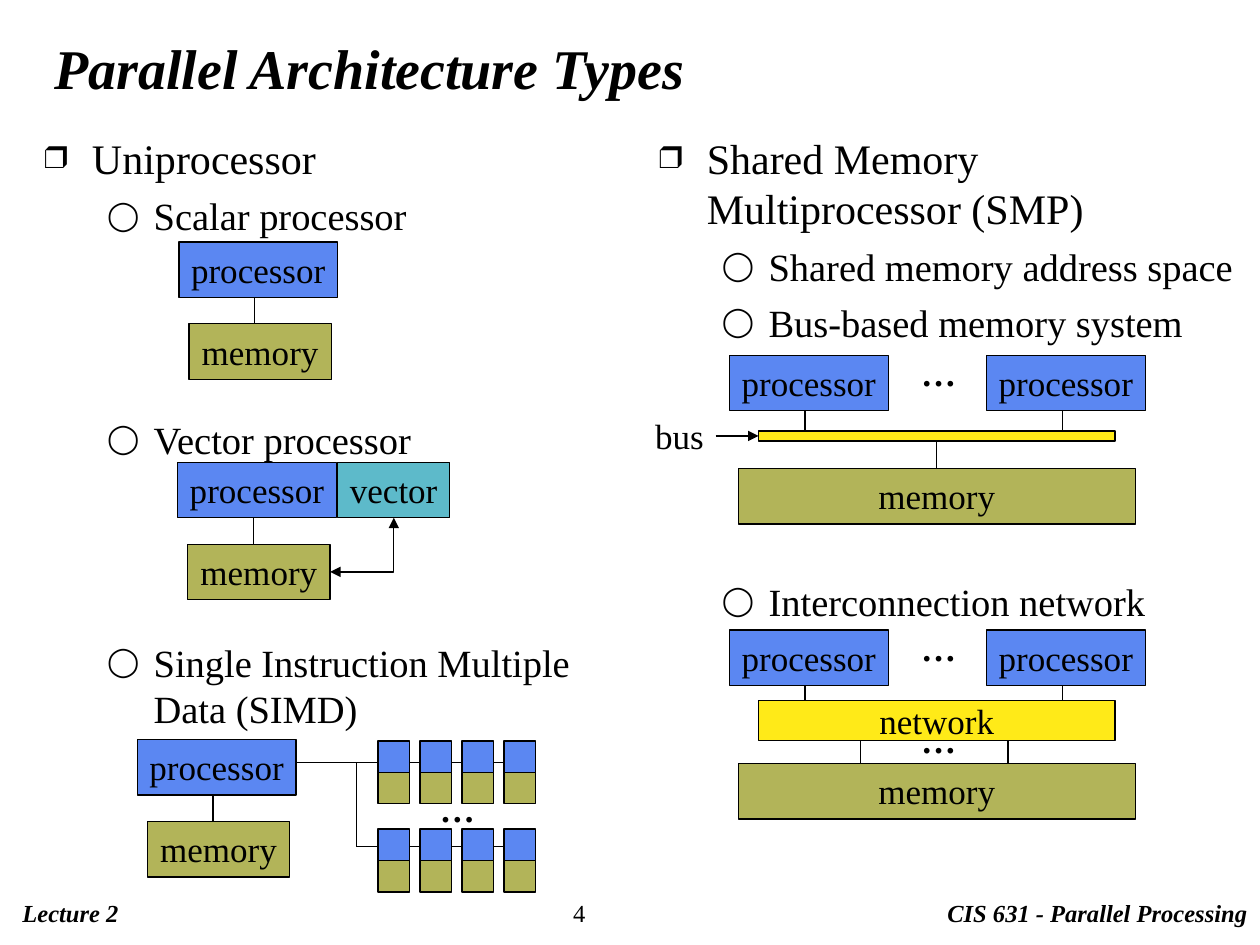
from dataclasses import dataclass
from itertools import product
from lxml.etree import SubElement as Sub
from pptx import Presentation
from pptx.dml.color import RGBColor as Rgb
from pptx.enum.shapes import MSO_CONNECTOR as Link, MSO_SHAPE as Shape
from pptx.enum.text import MSO_ANCHOR as Anchor, MSO_AUTO_SIZE as Fit, PP_ALIGN as Align
from pptx.oxml.ns import qn
from pptx.util import Inches, Pt


@dataclass(frozen=True)
class Theme:
    """Colours, type sizes and line width of the slide."""
    font: str = "Times New Roman"
    ink: str = "000000"
    blue: str = "5B87F2"
    olive: str = "B2B459"
    teal: str = "5DBACA"
    yellow: str = "FFEA18"
    title: int = 32
    head: int = 24
    item: int = 22
    label: int = 20
    foot: int = 14
    rule: float = 0.75


T = Theme()
BOX, MEM, ROW = 1.26, 1.13, 0.44
STEM, DROP = 0.6, 0.65
CELL = 0.25


def paint(text):
    """Turn a hex string into a colour."""
    return Rgb.from_string(text)


def style(para, size, bold=False, slant=False):
    """Set the font of a paragraph."""
    font = para.font
    font.name, font.size, font.bold, font.italic = T.font, Pt(size), bold, slant
    font.color.rgb = paint(T.ink)


def write(shape, text, size=T.label, align=Align.LEFT, anchor=Anchor.TOP,
          wrap=False, bold=False, slant=False):
    """Put one formatted paragraph into a shape."""
    frame = shape.text_frame
    frame.auto_size, frame.word_wrap = Fit.NONE, wrap
    frame.vertical_anchor = anchor
    para = frame.paragraphs[0]
    para.text, para.alignment = text, align
    style(para, size, bold, slant)
    return shape


def place(shape, *area):
    """Move a shape to left, top, width and height in inches."""
    shape.left, shape.top, shape.width, shape.height = map(Inches, area)
    return shape


def label(slide, area, text, **form):
    """Add a text box."""
    return write(slide.shapes.add_textbox(*map(Inches, area)), text, **form)


def block(shapes, area, fill, text="", **form):
    """Add a filled rectangle with an optional centred label."""
    shape = shapes.add_shape(Shape.RECTANGLE, *map(Inches, area))
    shape.shadow.inherit = False
    shape.fill.solid()
    shape.fill.fore_color.rgb = paint(fill)
    shape.line.color.rgb = paint(T.ink)
    shape.line.width = Pt(T.rule)
    if text:
        write(shape, text, align=Align.CENTER, **form)
    return shape


def wire(slide, ends=(0, 0, 0, 0), start=None, stop=None, tips=(), bent=False):
    """Add a connector, joined to (shape, site) pairs where given."""
    kind = Link.ELBOW if bent else Link.STRAIGHT
    line = slide.shapes.add_connector(kind, *map(Inches, ends))
    if start:
        line.begin_connect(*start)
    if stop:
        line.end_connect(*stop)
    line.line.color.rgb = paint(T.ink)
    line.line.width = Pt(T.rule)
    props = line._element.spPr
    if bent:
        props.find(qn("a:prstGeom")).set("prst", "bentConnector2")
    for tip in tips:
        Sub(props.find(qn("a:ln")), qn(f"a:{tip}")).set("type", "triangle")
    Sub(props, qn("a:effectLst"))
    return line


def bullet(para, mark, left, hang):
    """Give a paragraph a bullet and a hanging indent."""
    props = para._p.get_or_add_pPr()
    props.set("marL", str(Inches(left)))
    props.set("indent", str(Inches(-hang)))
    Sub(Sub(props, qn("a:buClr")), qn("a:srgbClr")).set("val", T.ink)
    Sub(props, qn("a:buSzPct")).set("val", "75000")
    Sub(props, qn("a:buFont")).set("typeface", T.font)
    Sub(props, qn("a:buChar")).set("char", mark)


def outline(shape, head, items):
    """Fill a body with a heading and (text, space before) items."""
    frame = shape.text_frame
    frame.auto_size = Fit.NONE
    para = frame.paragraphs[0]
    para.text = head
    bullet(para, "❒", 0.38, 0.38)
    para.space_before = Pt(0)
    style(para, T.head)
    for text, gap in items:
        para = frame.add_paragraph()
        para.text, para.level = text, 1
        bullet(para, "◯", 0.87, 0.37)
        para.space_before = Pt(gap)
        style(para, T.item)


def dots(slide, x, y):
    """Add a bold ellipsis."""
    label(slide, (x, y, 0.48, ROW), "…", align=Align.CENTER, bold=True)


def core(slide, x, y):
    """Add a processor with a stem below it."""
    wire(slide, (x + STEM, y + 0.4, x + STEM, y + DROP))
    block(slide.shapes, (x, y, BOX, ROW), T.blue, "processor")


def node(slide, x, y):
    """Add a processor above its memory and return the memory."""
    core(slide, x, y)
    return block(slide.shapes, (x + 0.08, y + DROP, MEM, ROW), T.olive, "memory")


def shared(slide, y, bar, mem, text=""):
    """Add processors over a (top, height) bar and a memory; return bar and memory."""
    for x in (5.79, 7.83):
        core(slide, x, y)
    link = block(slide.shapes, (6.02, bar[0], 2.83, bar[1]), T.yellow, text,
                 anchor=Anchor.MIDDLE)
    store = block(slide.shapes, (5.86, mem, 3.15, ROW), T.olive, "memory")
    dots(slide, 7.21, y - 0.08)
    return link, store


def vector(slide):
    """Draw the vector processor."""
    store = node(slide, 1.41, 3.67)
    unit = block(slide.shapes, (2.68, 3.67, 0.89, ROW), T.teal, "vector")
    wire(slide, start=(store, 3), stop=(unit, 2), tips=("headEnd", "tailEnd"), bent=True)


def simd(slide):
    """Draw the control processor and its array of cells."""
    for ends in ((2.83, 6.72, 4.08, 6.72), (2.33, 6.05, 4.08, 6.05),
                 (2.83, 6.05, 2.83, 6.72)):
        wire(slide, ends)
    node(slide, 1.09, 5.87)
    for y, col in product((5.88, 6.58), range(4)):
        pair = slide.shapes.add_group_shape().shapes
        for row, fill in enumerate((T.blue, T.olive)):
            block(pair, (3 + col / 3, y + row * CELL, CELL, CELL), fill)
    dots(slide, 3.39, 6.2)


def bus(slide):
    """Draw the bus-based shared memory."""
    bar, store = shared(slide, 2.82, (3.42, 0.08), 3.72)
    wire(slide, start=(bar, 2), stop=(store, 0))
    name = label(slide, (5.1, 3.24, 0.58, ROW), "bus")
    wire(slide, start=(name, 3), stop=(bar, 1), tips=("tailEnd",))


def network(slide):
    """Draw the shared memory behind a network."""
    for x in (6.83, 8):
        wire(slide, (x, 5.67, x, 6.17))
    shared(slide, 5, (5.56, 0.32), 6.06, "network")
    dots(slide, 7.21, 5.65)


def main():
    """Build and save the slide."""
    deck = Presentation()
    deck.slide_width, deck.slide_height = Inches(10), Inches(7.5)
    slide = deck.slides.add_slide(deck.slide_layouts[3])
    title, left, right = slide.placeholders
    write(place(title, 0.33, 0.28, 9.42, 0.5), "Parallel Architecture Types",
          size=T.title, anchor=Anchor.MIDDLE, wrap=True, bold=True, slant=True)
    outline(place(left, 0.25, 1, 4.71, 6), "Uniprocessor", [
        ("Scalar processor", 5.5), ("Vector processor", 101.2),
        ("Single Instruction Multiple Data (SIMD)", 101.2)])
    outline(place(right, 5.13, 1, 4.87, 6), "Shared Memory\vMultiprocessor (SMP)", [
        ("Shared memory address space", 5.5), ("Bus-based memory system", 5.5),
        ("Interconnection network", 133.1)])
    node(slide, 1.42, 1.92)
    for draw in (vector, simd, bus, network):
        draw(slide)
    foot = dict(size=T.foot, bold=True, slant=True, wrap=True)
    label(slide, (0.08, 7.08, 4.2, 0.34), "Lecture 2", **foot)
    label(slide, (4.45, 7.08, 1.01, 0.34), "4", size=T.foot)
    label(slide, (7.42, 7.08, 2.58, 0.34), "CIS 631 - Parallel Processing", **foot)
    deck.save("out.pptx")


if __name__ == "__main__":
    main()
